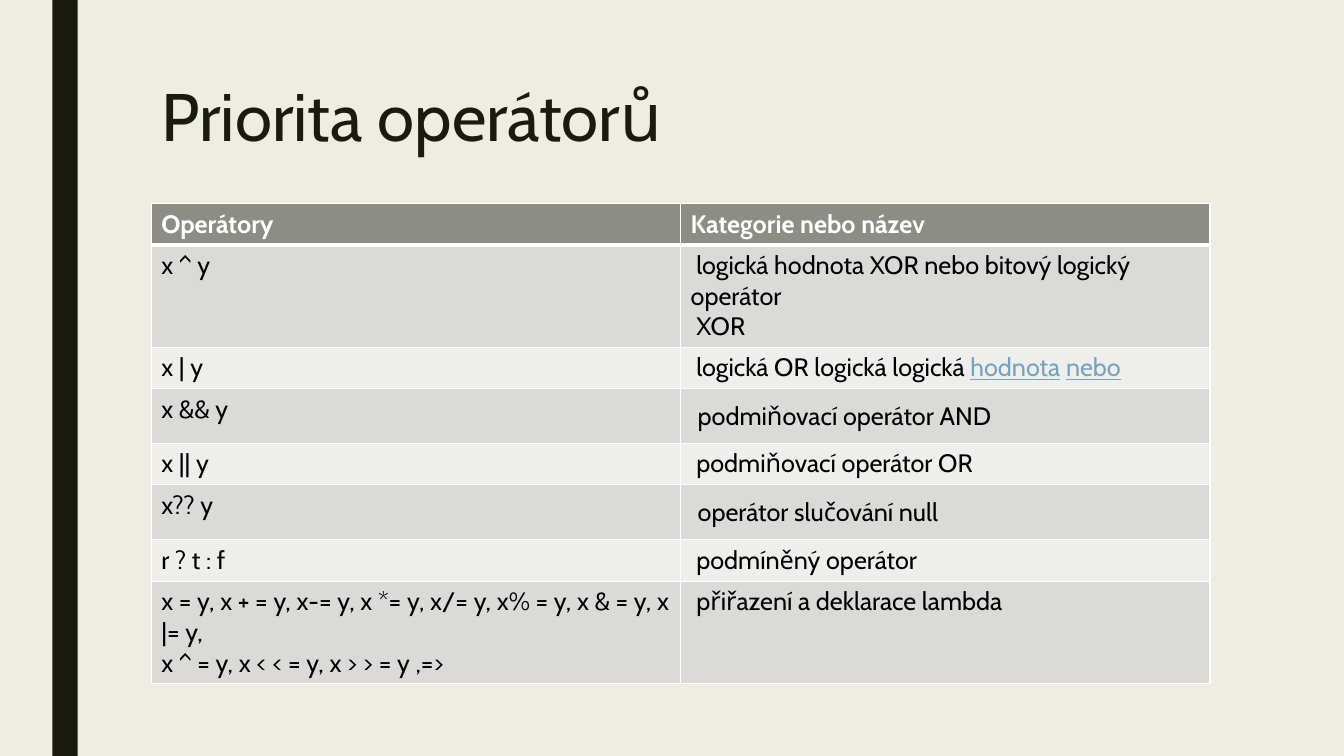
from pptx import Presentation
from pptx.dml.color import RGBColor
from pptx.enum.shapes import MSO_SHAPE
from pptx.enum.text import MSO_ANCHOR
from pptx.oxml.ns import qn
from pptx.util import Inches, Pt
from lxml.etree import SubElement

FONT = "Cabin"
CREAM = RGBColor(0xEF, 0xED, 0xE3)
INK = RGBColor(0x19, 0x1B, 0x0E)
HEADER_GREY = RGBColor(0x8C, 0x8D, 0x86)
BAND_DARK = RGBColor(0xDA, 0xDB, 0xD9)
BAND_LIGHT = RGBColor(0xEE, 0xEE, 0xED)
LINK_BLUE = RGBColor(0x77, 0xA2, 0xBB)
WHITE = RGBColor(0xFF, 0xFF, 0xFF)
BLACK = RGBColor(0, 0, 0)

SLIDE_WIDTH, SLIDE_HEIGHT = Inches(13.33), Inches(7.5)
LEFT, CONTENT_WIDTH = Inches(1.5), Inches(10.5)
ROW_HEIGHT = Inches(0.41)
ROOMY_MARGINS = (0.17, 0.12)

HEADINGS = ("Operátory", "Kategorie nebo název")
OPERATORS = [
    ("x ^ y", " logická hodnota XOR nebo bitový logický operátor\n XOR"),
    ("x | y", " logická OR logická logická _hodnota_ _nebo_"),
    ("x && y", "podmiňovací operátor AND"),
    ("x || y", " podmiňovací operátor OR"),
    ("x?? y", "operátor slučování null"),
    ("r ? t : f", " podmíněný operátor"),
    ("x = y, x + = y, x-= y, x *= y, x/= y, x% = y, x & = y, x |= y,\n"
     "x ^ = y, x < < = y, x > > = y ,=>", " přiřazení a deklarace lambda"),
]
ROOMY_ROWS = (3, 5)


def write_text(frame, text, size=18, color=BLACK, bold=False, spacing=None):
    """Write text with line breaks, underlining the parts between underscores."""
    paragraph = frame.paragraphs[0]
    if spacing:
        paragraph.line_spacing = spacing
    for line_number, line in enumerate(text.split("\n")):
        if line_number:
            paragraph.add_line_break()
        for part_number, part in enumerate(line.split("_")):
            if not part:
                continue
            linked = part_number % 2 == 1
            run = paragraph.add_run()
            run.text = part
            run.font.name = FONT
            run.font.size = Pt(size)
            run.font.bold = bold
            run.font.underline = linked
            run.font.color.rgb = LINK_BLUE if linked else color


def set_borders(cell, widths):
    """Draw white cell borders with widths in points by side tag."""
    properties = cell._tc.get_or_add_tcPr()
    for index, (side, width) in enumerate(widths.items()):
        line = SubElement(properties, qn(f"a:{side}"), w=str(Pt(width)))
        properties.insert(index, line)
        fill = SubElement(line, qn("a:solidFill"))
        SubElement(fill, qn("a:srgbClr"), val=str(WHITE))


def add_side_bar(slide):
    """Add the dark vertical bar at the left edge."""
    bar = slide.shapes.add_shape(
        MSO_SHAPE.RECTANGLE, Inches(0.52), 0, Inches(0.25), SLIDE_HEIGHT)
    bar.shadow.inherit = False
    bar.fill.solid()
    bar.fill.fore_color.rgb = INK
    bar.line.fill.background()


def set_title(slide, text):
    """Place and format the slide title."""
    title = slide.shapes.title
    title.left, title.top = LEFT, Inches(0.75)
    title.width, title.height = CONTENT_WIDTH, Inches(0.89)
    title.text_frame.word_wrap = True
    title.text_frame.vertical_anchor = MSO_ANCHOR.MIDDLE
    write_text(title.text_frame, text, size=48, color=INK, spacing=0.89)
    title.text_frame.paragraphs[0].alignment = 1


def format_cell(cell, text, row_number, column_number):
    """Fill one cell with its text, band colour, margins and borders."""
    header = row_number == 0
    cell.fill.solid()
    if header:
        cell.fill.fore_color.rgb = HEADER_GREY
    else:
        cell.fill.fore_color.rgb = BAND_DARK if row_number % 2 else BAND_LIGHT
    if column_number == 1 and row_number in ROOMY_ROWS:
        across, down = ROOMY_MARGINS
        cell.margin_left = cell.margin_right = Inches(across)
        cell.margin_top = cell.margin_bottom = Inches(down)
    write_text(cell.text_frame, text, color=WHITE if header else BLACK, bold=header)
    set_borders(cell, {"lnL": 1, "lnR": 1, "lnT": 3 if row_number == 1 else 1,
                       "lnB": 3 if header else 1})


def add_operator_table(slide):
    """Add the table of operators and their categories."""
    rows = [HEADINGS, *OPERATORS]
    frame = slide.shapes.add_table(
        len(rows), len(HEADINGS), LEFT, Inches(2.02), CONTENT_WIDTH,
        ROW_HEIGHT * len(rows))
    for row_number, row in enumerate(rows):
        for column_number, text in enumerate(row):
            cell = frame.table.cell(row_number, column_number)
            format_cell(cell, text, row_number, column_number)
    frame.height = Inches(4.72)


def main():
    """Build the slide and save it."""
    presentation = Presentation()
    presentation.slide_width = SLIDE_WIDTH
    presentation.slide_height = SLIDE_HEIGHT
    slide = presentation.slides.add_slide(presentation.slide_layouts[5])
    slide.background.fill.solid()
    slide.background.fill.fore_color.rgb = CREAM
    add_side_bar(slide)
    set_title(slide, "Priorita operátorů")
    add_operator_table(slide)
    presentation.save("out.pptx")


if __name__ == "__main__":
    main()
